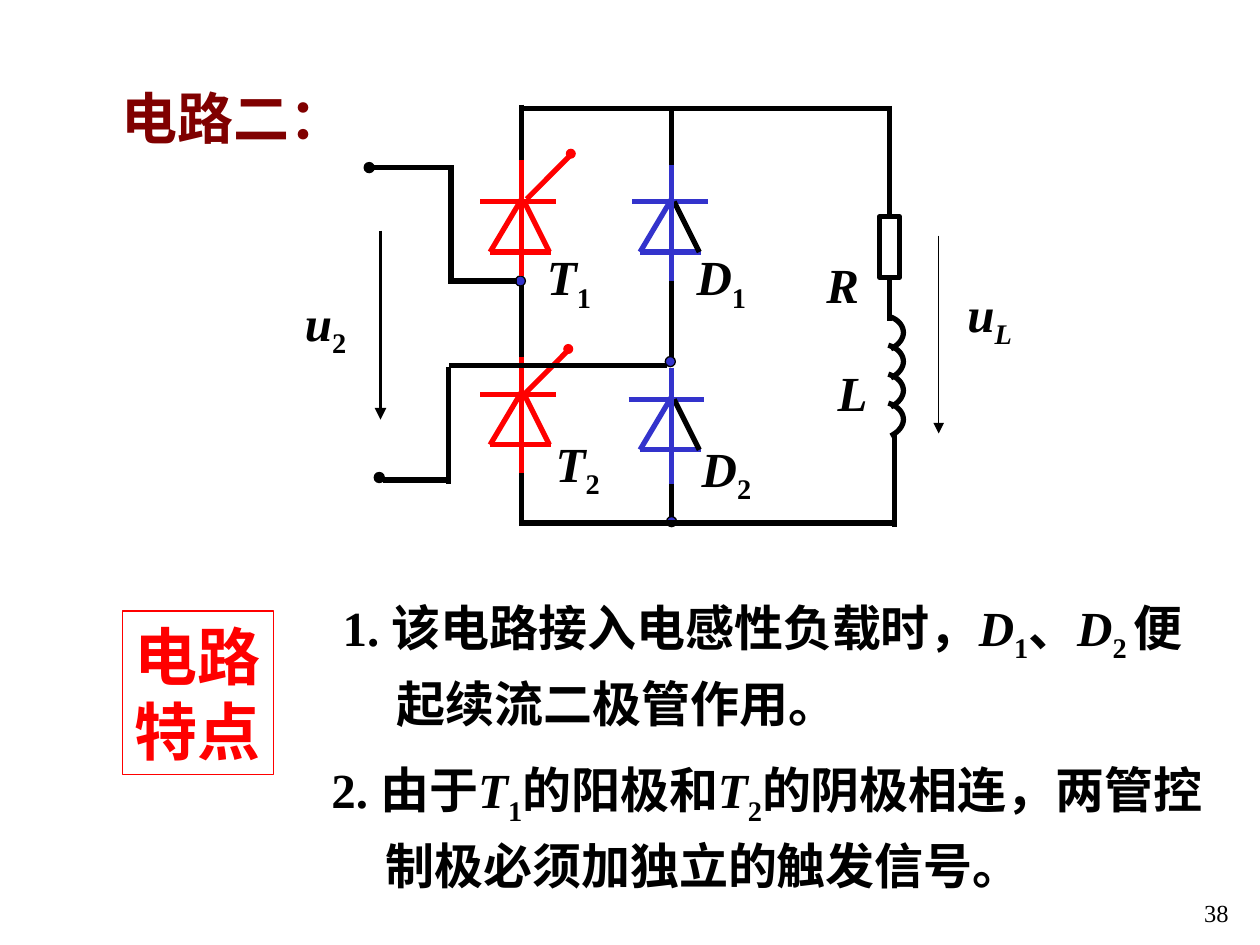
from dataclasses import dataclass

from lxml import etree
from pptx import Presentation
from pptx.dml.color import RGBColor
from pptx.enum.shapes import MSO_CONNECTOR, MSO_SHAPE
from pptx.enum.text import MSO_ANCHOR, MSO_AUTO_SIZE, PP_ALIGN
from pptx.oxml.ns import qn
from pptx.util import Inches, Pt

STRAIGHT = MSO_CONNECTOR.STRAIGHT
RECT, OVAL = MSO_SHAPE.RECTANGLE, MSO_SHAPE.OVAL
LEFT, CENTER, RIGHT = PP_ALIGN.LEFT, PP_ALIGN.CENTER, PP_ALIGN.RIGHT
TOP, MIDDLE = MSO_ANCHOR.TOP, MSO_ANCHOR.MIDDLE
NO_FIT = MSO_AUTO_SIZE.NONE
TOP_SIDE, LOW_SIDE = 0, 2


@dataclass(frozen=True)
class Theme:
    font: str = "Times New Roman"
    ink: str = "000000"
    red: str = "FF0000"
    blue: str = "3333CC"
    maroon: str = "800000"
    title: int = 32
    box: int = 36
    text: int = 28
    page: int = 14
    wire: float = 3
    arrow: float = 2.25
    thin: float = 0.75


def rgb(color):
    return RGBColor.from_string(color)


class Board:
    def __init__(self, slide, theme):
        self.slide, self.theme = slide, theme
        self.shapes = slide.shapes

    def wire(self, x1, y1, x2, y2, color=None, width=None, arrow=False):
        line = self.shapes.add_connector(
            STRAIGHT, Inches(x1), Inches(y1), Inches(x2), Inches(y2))
        line.line.color.rgb = rgb(color or self.theme.ink)
        line.line.width = Pt(width or self.theme.wire)
        props = line._element.spPr
        if arrow:
            tail = etree.SubElement(props.find(qn("a:ln")), qn("a:tailEnd"))
            tail.set("type", "triangle")
        etree.SubElement(props, qn("a:effectLst"))
        return line

    def shape(self, kind, x, y, w, h, fill=None, line=None, width=None):
        item = self.shapes.add_shape(
            kind, Inches(x), Inches(y), Inches(w), Inches(h))
        self.paint(item, fill, line, width)
        return item

    def paint(self, item, fill, line, width):
        item.shadow.inherit = False
        if fill:
            item.fill.solid()
            item.fill.fore_color.rgb = rgb(fill)
        else:
            item.fill.background()
        if line:
            item.line.color.rgb = rgb(line)
            item.line.width = Pt(width)
        else:
            item.line.fill.background()

    def dot(self, x, y, fill, line=None):
        self.shape(OVAL, x, y, 0.08, 0.08, fill, line, self.theme.thin)

    def diode(self, x, y, left, rise, color, side):
        """Draw a diode whose apex is at x, y; side colours the right edge."""
        self.wire(x - left, y, x - left + 0.6, y, color)
        self.wire(x, y - 0.02, x - 0.25, y + 0.4, color)
        self.wire(x - 0.25, y + 0.4, x + 0.23, y + 0.4, color)
        self.wire(x + 0.02, y, x + 0.22, y + 0.4, side)
        self.wire(x, y - rise, x, y - rise + 0.92, color)

    def gate(self, x, y):
        self.wire(x, y, x + 0.36, y - 0.36, self.theme.red)
        self.dot(x + 0.31, y - 0.4, self.theme.red)

    def turn(self, x, y):
        """Draw one coil turn as two sampled cubic curves."""
        curves = [((0, 0), (0.07, 0.02), (0.12, 0.07), (0.12, 0.13)),
                  ((0.12, 0.13), (0.12, 0.18), (0.08, 0.23), (0.02, 0.26))]
        steps = 10
        points = []
        for curve in curves:
            for step in range(1, steps + 1):
                t = step / steps
                parts = ((1 - t) ** 3, 3 * t * (1 - t) ** 2,
                         3 * t * t * (1 - t), t ** 3)
                dx, dy = (sum(k * p[axis] for k, p in zip(parts, curve))
                          for axis in (0, 1))
                points.append((Inches(x + dx), Inches(y + dy)))
        form = self.shapes.build_freeform(Inches(x), Inches(y), scale=1.0)
        form.add_line_segments(points, close=False)
        self.paint(form.convert_to_shape(), None,
                   self.theme.ink, self.theme.wire)

    def fill(self, para, runs, size, color=None, bold=True):
        """Add (text, style) runs; i is italic and s is subscript."""
        for text, style in runs:
            run = para.add_run()
            run.text = text
            font = run.font
            font.name, font.size, font.bold = self.theme.font, Pt(size), bold
            font.italic = "i" in style
            font.color.rgb = rgb(color or self.theme.ink)
            if "s" in style:
                run._r.get_or_add_rPr().set("baseline", "-25000")

    def frame(self, item, anchor, wrap):
        frame = item.text_frame
        frame.auto_size = NO_FIT
        frame.word_wrap = wrap
        frame.vertical_anchor = anchor
        return frame

    def text(self, x, y, w, h, runs, size, align=LEFT, anchor=TOP, bold=True):
        item = self.shapes.add_textbox(
            Inches(x), Inches(y), Inches(w), Inches(h))
        para = self.frame(item, anchor, False).paragraphs[0]
        para.alignment = align
        self.fill(para, runs, size, bold=bold)

    def holder(self, item, x, y, w, h, wrap=True):
        item.left, item.top = Inches(x), Inches(y)
        item.width, item.height = Inches(w), Inches(h)
        return self.frame(item, MIDDLE, wrap).paragraphs[0]

    def title(self, text, *area):
        para = self.holder(self.shapes.title, *area, wrap=False)
        para.alignment = CENTER
        self.fill(para, [(text, "")], self.theme.title, self.theme.maroon)

    def point(self, index, runs, *area):
        para = self.holder(self.slide.placeholders[index], *area)
        props = para._p.get_or_add_pPr()
        props.set("marL", str(Inches(0.43)))
        props.set("indent", str(Inches(-0.43)))
        etree.SubElement(props, qn("a:buNone"))
        para.line_spacing, para.space_before = 1.15, Pt(0)
        self.fill(para, runs, self.theme.text)

    def panel(self, lines, *area):
        item = self.shape(RECT, *area, line=self.theme.red,
                          width=self.theme.thin)
        frame = self.frame(item, MIDDLE, False)
        for row, text in enumerate(lines):
            para = frame.add_paragraph() if row else frame.paragraphs[0]
            para.alignment = CENTER
            self.fill(para, [(text, "")], self.theme.box, self.theme.red)


def circuit(board):
    look = board.theme
    ink, red, blue = look.ink, look.red, look.blue
    tx, dx, rx = 4.14, 5.33, 7.06

    for x, y1, y2 in [(dx, 2.21, 2.9), (tx, 2.23, 2.85), (tx, 0.83, 1.27),
                      (tx, 3.75, 4.15), (dx, 3.83, 4.15), (dx, 0.85, 1.31)]:
        board.wire(x, y1, x, y2)
    for x, y in [(5.29, 4.1), (4.09, 2.19)]:
        board.dot(x, y, blue, ink)

    board.diode(dx, 1.6, 0.31, 0.29, blue, ink)
    board.diode(dx, 3.17, 0.34, 0.25, blue, ink)
    board.diode(tx, 1.6, 0.33, 0.33, red, red)
    board.diode(tx, 3.13, 0.33, 0.3, red, red)
    board.gate(4.18, 1.58)
    board.gate(4.16, 3.13)

    for ends in [(4.12, 4.15, 7.12, 4.15), (tx, 0.86, rx, 0.86),
                 (4.1, 2.23, 3.6, 2.23), (5.29, 2.9, 3.56, 2.9),
                 (3.58, 1.33, 3.58, 2.25), (3.56, 2.91, 3.56, 3.84),
                 (3.6, 1.33, 2.97, 1.33), (3.04, 3.81, 3.56, 3.81),
                 (7.1, 3.44, 7.1, 4.18)]:
        board.wire(*ends)
    board.dot(5.28, 2.83, blue, ink)
    for x, y in [(2.89, 1.29), (2.97, 3.75)]:
        board.dot(x, y, ink, ink)

    for row in range(4):
        board.turn(7.05, 2.51 + 0.23 * row)
    load = board.shape(RECT, rx - 0.08, 1.72, 0.16, 0.48,
                       line=ink, width=look.wire)
    board.wire(rx, 0.84, rx, 1.72).end_connect(load, TOP_SIDE)
    board.wire(rx, 2.2, rx, 2.55).begin_connect(load, LOW_SIDE)

    board.wire(3.02, 1.83, 3.02, 3.33, width=look.arrow, arrow=True)
    board.wire(7.45, 1.87, 7.45, 3.44, width=look.thin, arrow=True)

    for x, y, w, name, mark in [
            (4.24, 1.91, 0.55, "T", "1"), (4.31, 3.39, 0.55, "T", "2"),
            (5.43, 1.91, 0.59, "D", "1"), (5.47, 3.43, 0.59, "D", "2"),
            (2.32, 2.27, 0.53, "u", "2")]:
        board.text(x, y, w, 0.63, [(name, "i"), (mark, "s")],
                   look.text, CENTER, MIDDLE)
    board.text(7.58, 2.2, 0.55, 0.63, [("u", "i"), ("L", "is")], look.text)
    board.text(6.46, 1.97, 0.46, 0.57, [("R", "i")], look.text)
    board.text(6.55, 2.83, 0.44, 0.57, [("L", "i")], look.text)


def main():
    deck = Presentation()
    deck.slide_width, deck.slide_height = Inches(10), Inches(7.5)
    pair = deck.slide_layouts[3]
    board = Board(deck.slides.add_slide(pair), Theme())

    board.title("电路二：", 0.64, 0.61, 1.98, 0.64)
    circuit(board)
    board.panel(["电路", "特点"], 0.97, 4.85, 1.2, 1.3)
    board.point(1, [("1. 该电路接入电感性负载时，", ""), ("D", "i"), ("1", "s"),
                    ("、", ""), ("D", "i"), ("2 ", "s"),
                    ("便起续流二极管作用。", "")], 2.62, 4.61, 7.09, 1.25)
    board.point(2, [("2. 由于", ""), ("T", "i"), ("1", "s"),
                    ("的阳极和", ""), ("T", "i"), ("2", "s"),
                    ("的阴极相连，两管控制极必须加独立的触发信号。", "")],
                2.53, 5.9, 7.37, 1.25)
    board.text(7.77, 7.08, 2.08, 0.5, [("38", "")], board.theme.page,
               RIGHT, bold=False)
    deck.save("out.pptx")


if __name__ == "__main__":
    main()
